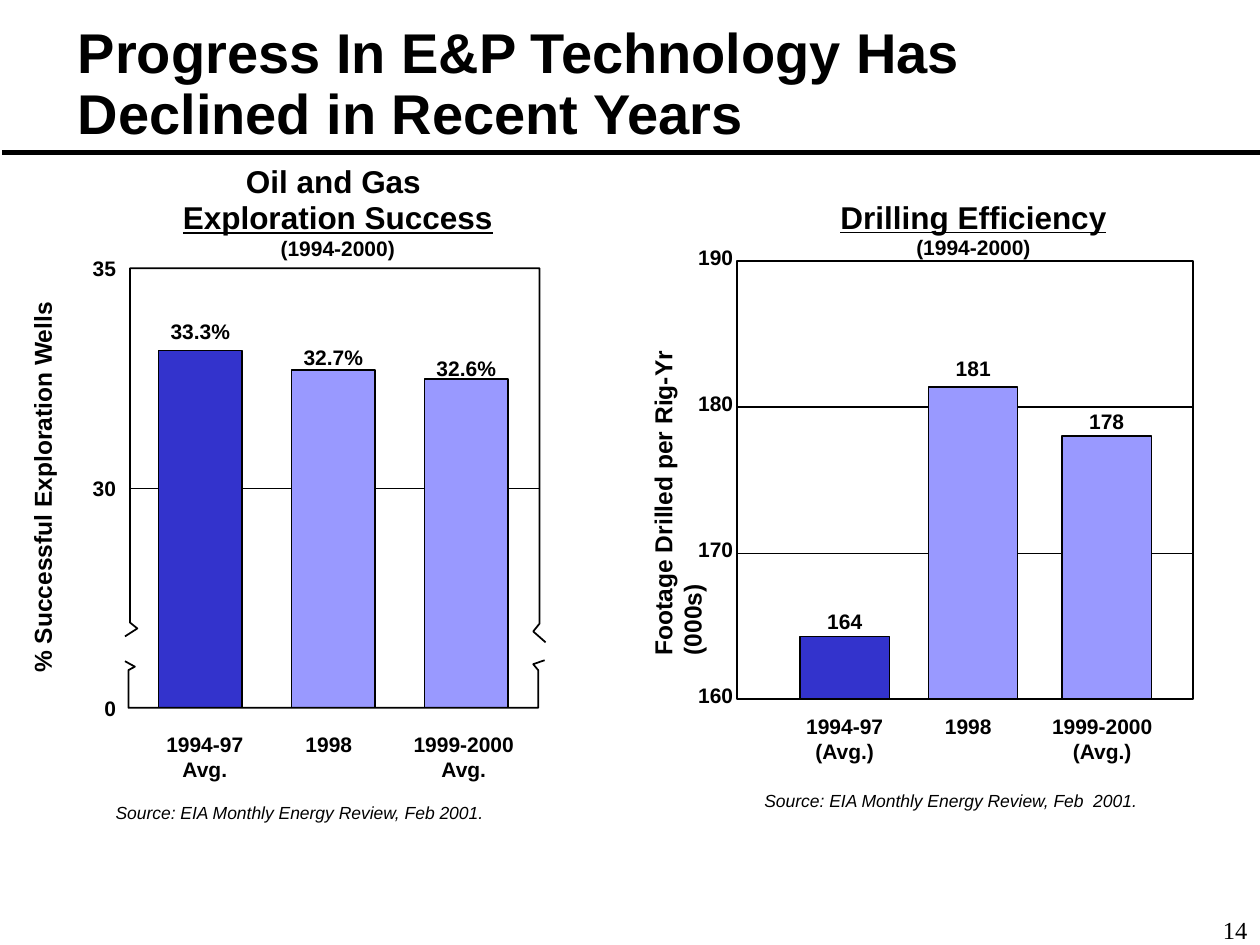
from dataclasses import dataclass

from lxml.etree import SubElement
from pptx import Presentation
from pptx.dml.color import RGBColor
from pptx.enum.shapes import MSO_CONNECTOR as Connector, MSO_SHAPE as Shape
from pptx.enum.text import MSO_ANCHOR as Anchor, MSO_AUTO_SIZE as AutoSize, PP_ALIGN as Align
from pptx.oxml.ns import qn
from pptx.util import Cm, Pt

COLORS = {"ink": "000000", "base_bar": "3333CC", "later_bar": "9999FF"}
CHAR_WIDTH = 0.25
LINE_HEIGHT = 0.51
PADDING = (0.25, 0.13)
STUB_OFFSET, STUB_WIDTH = 0.51, 0.18

BREAK_ABOVE = [(-0.1, 7.42), (0.15, 7.26), (0, 7.14), (0, 0),
               (8.26, 0), (8.26, 7.16), (8.13, 7.32), (8.38, 7.54)]
BREAK_BELOW = [(-0.1, 7.92), (0.1, 8.03), (-0.03, 8.1), (-0.03, 8.86),
               (8.23, 8.86), (8.23, 8.1), (8.13, 7.98), (8.36, 7.9)]


@dataclass
class Box:
    left: float
    top: float
    width: float
    height: float

    @property
    def bottom(self):
        return self.top + self.height

    def inner(self, left, top, width, height):
        return Box(self.left + left, self.top + top, width, height)

    def lengths(self):
        return [Cm(v) for v in (self.left, self.top, self.width, self.height)]


@dataclass
class Bar:
    category: str
    value: str
    offset: float
    height: float
    label_rise: float
    category_shift: float


@dataclass
class Panel:
    heading: str
    heading_box: Box
    axis_title: str
    axis_title_box: Box
    source: str
    source_box: Box
    ticks: list
    tick_gap: float
    tick_rise: float
    category_gap: float
    bar_width: float
    grid_weight: float
    bars: list
    broken: bool


def rgb(name):
    return RGBColor.from_string(COLORS[name])


def outline(line, width):
    line.color.rgb = rgb("ink")
    line.width = Pt(width)


def add_text(slide, box, text, size, align=Align.LEFT, bold=True, italic=False,
             font="Arial", padding=(0, 0), wrap=False, spacing=None):
    label = slide.shapes.add_textbox(*box.lengths())
    frame = label.text_frame
    frame.text = text
    frame.word_wrap = wrap
    frame.auto_size = AutoSize.NONE if wrap else AutoSize.SHAPE_TO_FIT_TEXT
    frame.margin_left = frame.margin_right = Cm(padding[0])
    frame.margin_top = frame.margin_bottom = Cm(padding[1])
    for paragraph in frame.paragraphs:
        paragraph.alignment = align
        paragraph.line_spacing = spacing
        for run in paragraph.runs:
            run.font.name = font
            run.font.size = Pt(size)
            run.font.bold = bold
            run.font.italic = italic
            run.font.color.rgb = rgb("ink")
    return label


def add_centred_label(slide, centre, top, text):
    lines = text.split("\n")
    width = CHAR_WIDTH * max(map(len, lines))
    box = Box(centre - width / 2, top, width, LINE_HEIGHT * len(lines))
    add_text(slide, box, text, 12, Align.CENTER)


def add_rule(slide, left, y, width, weight):
    rule = slide.shapes.add_connector(
        Connector.STRAIGHT, Cm(left), Cm(y), Cm(left + width), Cm(y))
    outline(rule.line, weight)
    SubElement(rule._element.spPr, qn("a:effectLst"))


def add_outline(slide, plot, points):
    corners = [(Cm(plot.left + x), Cm(plot.top + y)) for x, y in points]
    builder = slide.shapes.build_freeform(*corners[0])
    builder.add_line_segments(corners[1:], close=False)
    edge = builder.convert_to_shape()
    edge.fill.background()
    edge.shadow.inherit = False
    outline(edge.line, 1)


def add_rectangle(slide, box, fill, weight):
    rectangle = slide.shapes.add_shape(Shape.RECTANGLE, *box.lengths())
    rectangle.shadow.inherit = False
    if fill:
        rectangle.fill.solid()
        rectangle.fill.fore_color.rgb = rgb(fill)
    else:
        rectangle.fill.background()
    outline(rectangle.line, weight)


def draw_axis(slide, plot, panel):
    step = plot.height / (len(panel.ticks) - 1)
    for index, tick in enumerate(panel.ticks):
        y = plot.top + index * step
        if 0 < index < len(panel.ticks) - 1:
            add_rule(slide, plot.left, y, plot.width, panel.grid_weight)
        if not panel.broken:
            add_rule(slide, plot.left + STUB_OFFSET, y, STUB_WIDTH, panel.grid_weight)
        width = CHAR_WIDTH * len(tick)
        add_text(slide, Box(plot.left - panel.tick_gap - width,
                            y - LINE_HEIGHT / 2 - panel.tick_rise, width, LINE_HEIGHT),
                 tick, 12, Align.RIGHT)


def draw_bars(slide, plot, panel):
    for index, bar in enumerate(panel.bars):
        box = plot.inner(bar.offset, plot.height - bar.height, panel.bar_width, bar.height)
        centre = box.left + box.width / 2
        add_rectangle(slide, box, "later_bar" if index else "base_bar", 0.75)
        add_centred_label(slide, centre, box.top - bar.label_rise, bar.value)
        add_centred_label(slide, centre + bar.category_shift,
                          plot.bottom + panel.category_gap, bar.category)


def draw_panel(slide, plot, panel):
    draw_axis(slide, plot, panel)
    draw_bars(slide, plot, panel)
    if panel.broken:
        add_outline(slide, plot, BREAK_ABOVE)
        add_outline(slide, plot, BREAK_BELOW)
    else:
        add_rectangle(slide, plot, None, 1)
    axis_title = add_text(slide, panel.axis_title_box, panel.axis_title, 14)
    axis_title.rotation = 270
    heading = add_text(slide, panel.heading_box, panel.heading, 18, Align.CENTER,
                       padding=PADDING, spacing=0.95)
    *_, name, period = heading.text_frame.paragraphs
    name.runs[0].font.underline = True
    period.runs[0].font.size = Pt(12)
    source = add_text(slide, panel.source_box, panel.source, 10, bold=False, italic=True,
                      padding=PADDING, wrap=True)
    source.text_frame.paragraphs[0].space_before = Pt(5)


def draw_title(slide, box):
    title = add_text(slide, box, "Progress In E&P Technology Has Declined in Recent Years",
                     32, padding=PADDING, wrap=True, spacing=0.9)
    title.text_frame.vertical_anchor = Anchor.MIDDLE
    add_rule(slide, 0.05, 3.07, 25.4, 3)


def main():
    deck = Presentation()
    deck.slide_width, deck.slide_height = Cm(25.4), Cm(19.05)
    slide = deck.slides.add_slide(deck.slide_layouts[6])
    draw_title(slide, Box(1.32, 0.48, 21.59, 2.51))
    success = Panel(
        "Oil and Gas \nExploration Success\n(1994-2000)", Box(3.43, 3.2, 6.76, 2.18),
        "% Successful Exploration Wells", Box(-2.9, 9.53, 7.49, 0.58),
        "Source: EIA Monthly Energy Review, Feb 2001.", Box(2.08, 16.03, 8.33, 1.12),
        ["35", "30", "0"], 0.28, 0, 0.48, 1.68, 0.62,
        [Bar("1994-97\nAvg.", "33.3%", 0.58, 7.21, 0.64, 0.09),
         Bar("1998", "32.7%", 3.26, 6.81, 0.51, -0.09),
         Bar("1999-2000\nAvg.", "32.6%", 5.94, 6.63, 0.48, -0.05)], True)
    efficiency = Panel(
        "Drilling Efficiency\n(1994-2000)", Box(16.69, 3.91, 5.87, 1.47),
        "Footage Drilled per Rig-Yr (000s)", Box(9.5, 9.07, 7.7, 0.58),
        "Source: EIA Monthly Energy Review, Feb  2001.", Box(15.16, 15.8, 8.53, 0.69),
        ["190", "180", "170", "160"], 0.08, 0.08, 0.28, 1.8, 0.75,
        [Bar("1994-97\n(Avg.)", "164", 1.27, 1.27, 0.56, 0),
         Bar("1998", "181", 3.86, 6.3, 0.64, -0.1),
         Bar("1999-2000\n(Avg.)", "178", 6.55, 5.31, 0.56, -0.09)], False)
    draw_panel(slide, Box(2.62, 5.41, 8.26, 8.86), success)
    draw_panel(slide, Box(14.86, 5.26, 9.19, 8.84), efficiency)
    add_text(slide, Box(23.85, 18.31, 1.55, 0.74), "14", 14, Align.RIGHT, bold=False,
             font="Times New Roman", padding=PADDING, wrap=True)
    deck.save("out.pptx")


if __name__ == "__main__":
    main()
